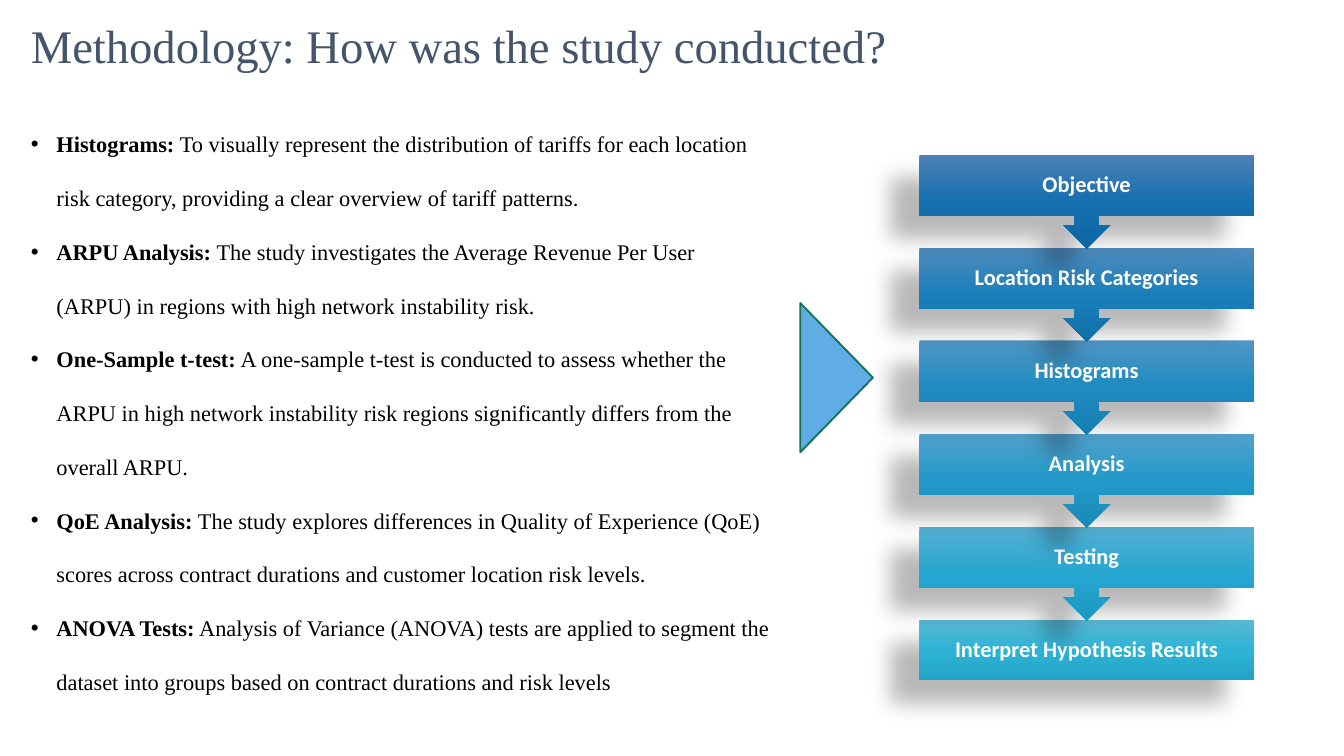
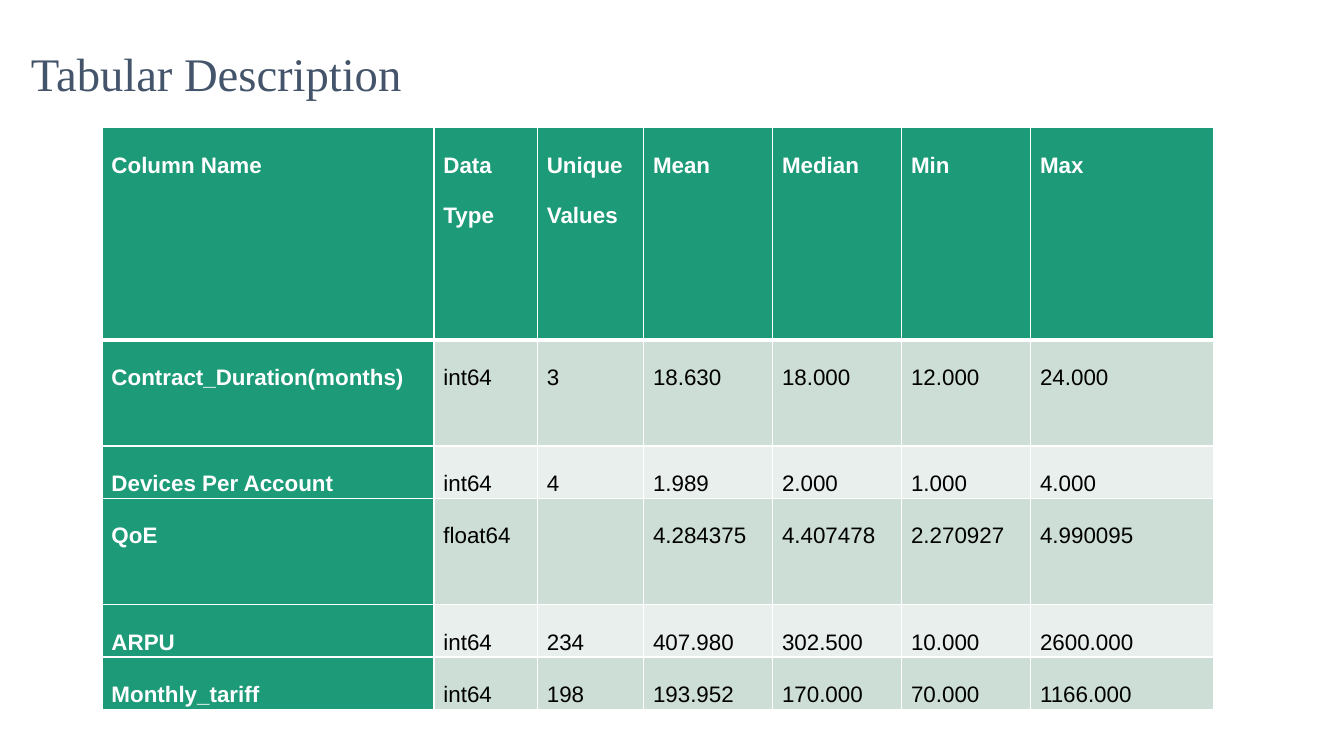
from copy import deepcopy

from lxml import etree
from pptx import Presentation
from pptx.dml.color import RGBColor
from pptx.enum.shapes import MSO_SHAPE
from pptx.enum.text import MSO_ANCHOR, MSO_AUTO_SIZE, PP_ALIGN
from pptx.oxml.ns import qn
from pptx.util import Inches, Pt

RECT, CALLOUT = MSO_SHAPE.RECTANGLE, MSO_SHAPE.DOWN_ARROW_CALLOUT
TRIANGLE = MSO_SHAPE.ISOSCELES_TRIANGLE
MIDDLE, LEFT, CENTER = MSO_ANCHOR.MIDDLE, PP_ALIGN.LEFT, PP_ALIGN.CENTER
NO_FIT, GROW = MSO_AUTO_SIZE.NONE, MSO_AUTO_SIZE.SHAPE_TO_FIT_TEXT
TITLE_AND_BODY, TITLE_ONLY = 1, 5

COLORS = {
    "title": "44546A", "text": "000000", "white": "FFFFFF",
    "pointer": "5FADE4", "pointer_line": "157259",
    "header": "1D9A78", "band_dark": "CDDED6", "band_light": "E8EFEC",
}
SERIF, SANS, LABEL = "Times New Roman", "Arial", "Calibri"

METHODS = [
    ("Histograms:", " To visually represent the distribution of tariffs for each "
     "location risk category, providing a clear overview of tariff patterns."),
    ("ARPU Analysis:", " The study investigates the Average Revenue Per User (ARPU) "
     "in regions with high network instability risk."),
    ("One-Sample t-test:", " A one-sample t-test is conducted to assess whether the "
     "ARPU in high network instability risk regions significantly differs from the "
     "overall ARPU."),
    ("QoE Analysis:", " The study explores differences in Quality of Experience (QoE) "
     "scores across contract durations and customer location risk levels."),
    ("ANOVA Tests:", " Analysis of Variance (ANOVA) tests are applied to segment the "
     "dataset into groups based on contract durations and risk levels"),
]
STEPS = [
    ("Objective", ("4E80B5", "1670B0", "0D65A3")),
    ("Location Risk Categories", ("4F8BBD", "1A7EB9", "1071AB")),
    ("Histograms", ("5096C4", "1E8BC1", "147EB2")),
    ("Analysis", ("52A2CC", "2299C9", "178BBA")),
    ("Testing", ("54AFD3", "26A7D1", "1B98C1")),
    ("Interpret Hypothesis Results", ("59B8D4", "2EB3D6", "21A4C6")),
]
ROWS = [
    ("Column Name", "Data Type", "Unique Values", "Mean", "Median", "Min", "Max"),
    ("Contract_Duration(months)", "int64", "3", "18.630", "18.000", "12.000", "24.000"),
    ("Devices Per Account", "int64", "4", "1.989", "2.000", "1.000", "4.000"),
    ("QoE", "float64", "", "4.284375", "4.407478", "2.270927", "4.990095"),
    ("ARPU", "int64", "234", "407.980", "302.500", "10.000", "2600.000"),
    ("Monthly_tariff", "int64", "198", "193.952", "170.000", "70.000", "1166.000"),
]
COL_WIDTHS = (2.47, 0.77, 0.79, 0.96, 0.96, 0.96, 1.36)
ROW_HEIGHTS = (1.58, 0.79, 0.39, 0.79, 0.39, 0.39)


def rgb(value):
    return RGBColor.from_string(value)


def style_run(r, font, size, color, bold=False):
    r.font.name, r.font.size, r.font.bold = font, Pt(size), bold
    r.font.color.rgb = rgb(color)


def place(shape, box):
    shape.left, shape.top, shape.width, shape.height = map(Inches, box)


def add_titled_slide(prs, layout, title, box):
    s = prs.slides.add_slide(prs.slide_layouts[layout])
    place(s.shapes.title, box)
    tf = s.shapes.title.text_frame
    tf.text = title
    tf.auto_size, tf.vertical_anchor = NO_FIT, MIDDLE
    p = tf.paragraphs[0]
    p.alignment = LEFT
    style_run(p.runs[0], SERIF, 25, COLORS["title"])
    return s


def fill_bullets(body, box, items):
    """Fill the body placeholder with bullets that open with a bold term."""
    place(body, box)
    tf = body.text_frame
    tf.word_wrap, tf.auto_size = True, GROW
    for i, parts in enumerate(items):
        p = tf.paragraphs[0] if i == 0 else tf.add_paragraph()
        p.line_spacing, p.space_before = 2.0, Pt(0)
        pPr = p._p.get_or_add_pPr()
        pPr.set("marL", str(Inches(0.19)))
        pPr.set("indent", str(-Inches(0.19)))
        etree.SubElement(pPr, qn("a:buChar"), char="•")
        for j, text in enumerate(parts):
            r = p.add_run()
            r.text = text
            style_run(r, SERIF, 12, COLORS["text"], bold=j == 0)


def fill_gradient(shape, colors):
    """Fill from top to bottom with evenly spaced colours."""
    shape.fill.gradient()
    shape.fill.gradient_angle = 270
    stops = shape._element.spPr.find(".//" + qn("a:gsLst"))
    stops.append(deepcopy(stops[0]))
    for i, (stop, color) in enumerate(zip(shape.fill.gradient_stops, colors)):
        stop.position = i / (len(colors) - 1)
        stop.color.rgb = rgb(color)


def add_soft_shadow(shape):
    shape.shadow.inherit = False
    effects = shape._element.spPr.find(qn("a:effectLst"))
    shadow = etree.SubElement(
        effects, qn("a:outerShdw"), blurRad=str(Pt(11.8)), dist=str(Pt(19.7)),
        dir=str(141 * 60000), rotWithShape="0")
    color = etree.SubElement(shadow, qn("a:srgbClr"), val=COLORS["text"])
    etree.SubElement(color, qn("a:alpha"), val="28000")


def add_process(s, box, steps):
    """Stack callouts that point down to the next step; the last is a plain bar."""
    left, top, width, height = box
    bar_h, callout_h = 0.45, 0.7
    pitch = (height - bar_h) / (len(steps) - 1)
    # The lowest step goes to the back, so that each arrow lies over the next bar.
    for i, (label, colors) in reversed(list(enumerate(steps))):
        last = i == len(steps) - 1
        step = s.shapes.add_shape(RECT if last else CALLOUT, 0, 0, 0, 0)
        place(step, (left, top + i * pitch, width, bar_h if last else callout_h))
        fill_gradient(step, colors)
        step.line.fill.background()
        add_soft_shadow(step)
        tf = step.text_frame
        tf.text = label
        tf.word_wrap, tf.vertical_anchor = True, MIDDLE
        tf.margin_left = tf.margin_right = Inches(0.09)
        tf.margin_top = tf.margin_bottom = Inches(0.09)
        p = tf.paragraphs[0]
        p.alignment, p.line_spacing = CENTER, 0.9
        style_run(p.runs[0], LABEL, 12, COLORS["white"], bold=True)


def add_pointer(s, box):
    pointer = s.shapes.add_shape(TRIANGLE, 0, 0, 0, 0)
    place(pointer, box)
    pointer.rotation = 90
    pointer.shadow.inherit = False
    pointer.fill.solid()
    pointer.fill.fore_color.rgb = rgb(COLORS["pointer"])
    pointer.line.color.rgb = rgb(COLORS["pointer_line"])
    pointer.line.width = Pt(1)


def set_borders(cell, **widths):
    """Draw white borders; the fill set afterwards follows them in the XML."""
    tcPr = cell._tc.get_or_add_tcPr()
    for side in ("L", "R", "T", "B"):
        ln = etree.SubElement(tcPr, qn("a:ln" + side), w=str(Pt(widths.get(side, 1))))
        fill = etree.SubElement(ln, qn("a:solidFill"))
        etree.SubElement(fill, qn("a:srgbClr"), val=COLORS["white"])


def format_cell(cell, text, row, col):
    heading = row == 0 or col == 0
    widths = {0: {"B": 3}, 1: {"T": 3}}.get(row, {})
    set_borders(cell, **widths)
    band = "band_dark" if row % 2 else "band_light"
    cell.fill.solid()
    cell.fill.fore_color.rgb = rgb(COLORS["header" if heading else band])
    cell.margin_left = cell.margin_right = Inches(0.07)
    cell.margin_top = cell.margin_bottom = 0
    if text:
        cell.text_frame.text = text
        p = cell.text_frame.paragraphs[0]
        p.line_spacing = 2.0
        style_run(p.runs[0], SANS, 12, COLORS["white" if heading else "text"], heading)


def add_summary_table(s, left, top):
    frame = s.shapes.add_table(
        len(ROWS), len(COL_WIDTHS), Inches(left), Inches(top),
        Inches(sum(COL_WIDTHS)), Inches(sum(ROW_HEIGHTS)))
    table = frame.table
    table.first_col = True
    for column, width in zip(table.columns, COL_WIDTHS):
        column.width = Inches(width)
    for i, values in enumerate(ROWS):
        table.rows[i].height = Inches(ROW_HEIGHTS[i])
        for j, text in enumerate(values):
            format_cell(table.cell(i, j), text, i, j)


def build_methodology(prs):
    s = add_titled_slide(prs, TITLE_AND_BODY, "Methodology: How was the study conducted?",
                         (0.13, 0.17, 9.81, 0.32))
    fill_bullets(s.placeholders[1], (0.13, 0.72, 5.72, 4.54), METHODS)
    add_process(s, (6.84, 1.15, 2.49, 3.91), STEPS)
    add_pointer(s, (5.67, 2.54, 1.11, 0.54))


def build_tabular_description(prs):
    s = add_titled_slide(prs, TITLE_ONLY, "Tabular Description", (0.13, 0.36, 9.87, 0.37))
    add_summary_table(s, 0.76, 0.95)


def main():
    prs = Presentation()
    prs.slide_width, prs.slide_height = Inches(10), Inches(10 * 9 / 16)
    build_methodology(prs)
    build_tabular_description(prs)
    prs.save("out.pptx")


if __name__ == "__main__":
    main()
